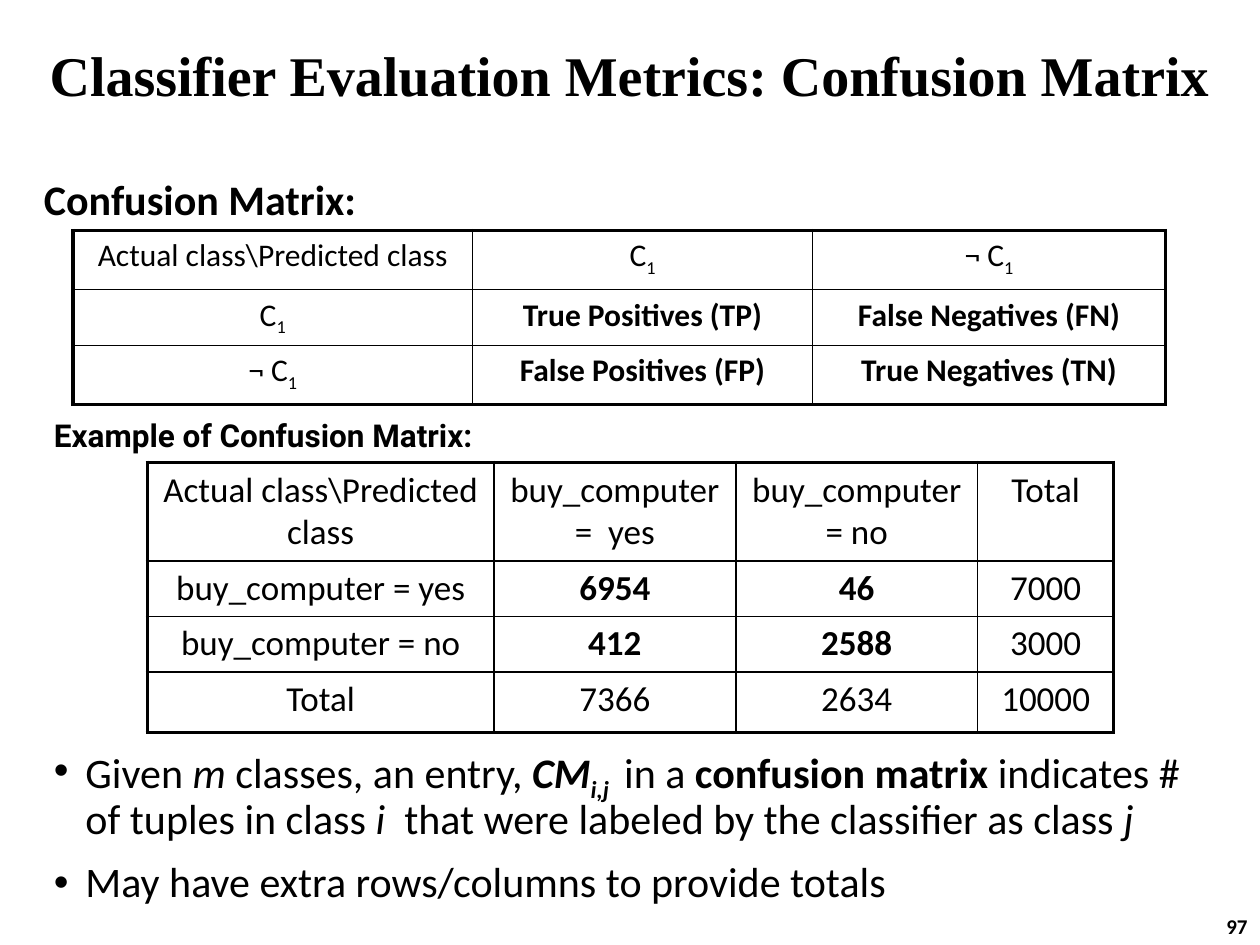
from lxml import etree
from pptx import Presentation
from pptx.dml.color import RGBColor
from pptx.enum.text import MSO_ANCHOR, PP_ALIGN
from pptx.oxml.ns import qn
from pptx.util import Inches, Pt

BLACK = RGBColor(0, 0, 0)
LEFT, CENTER, RIGHT = PP_ALIGN.LEFT, PP_ALIGN.CENTER, PP_ALIGN.RIGHT
TOP, MIDDLE, BOTTOM = MSO_ANCHOR.TOP, MSO_ANCHOR.MIDDLE, MSO_ANCHOR.BOTTOM
TITLE_ONLY = 5
INNER_LINE, OUTER_LINE = Pt(1), Pt(2.25)

# A text is a list of (words, style) runs; style letters: b bold, i italic, s subscript.
CLASS_1 = [("C", ""), ("1", "s")]
NOT_CLASS_1 = [("¬ C", ""), ("1", "s")]
CLASS_ROWS = [
    [[("Actual class\\Predicted class", "")], CLASS_1, NOT_CLASS_1],
    [CLASS_1, [("True Positives (TP)", "b")], [("False Negatives (FN)", "b")]],
    [NOT_CLASS_1, [("False Positives (FP)", "b")], [("True Negatives (TN)", "b")]],
]
EXAMPLE_ROWS = [
    [[("Actual class\\Predicted class", "")], [("buy_computer =  yes", "")],
     [("buy_computer = no", "")], [("Total", "")]],
    [[("buy_computer = yes", "")], [("6954", "b")], [("46", "b")], [("7000", "")]],
    [[("buy_computer = no", "")], [("412", "b")], [("2588", "b")], [("3000", "")]],
    [[("Total", "")], [("7366", "")], [("2634", "")], [("10000", "")]],
]
BULLETS = [
    [("Given", ""), (" m", "i"), (" classes, an entry, ", ""), ("CM", "bi"),
     ("i,j ", "bis"), (" in a ", ""), ("confusion matrix", "b"),
     (" indicates # of tuples in class ", ""), ("i", "i"),
     ("  that were labeled by the classifier as class ", ""), ("j", "i")],
    [("May have extra rows/columns to provide totals", "")],
]


def write_paragraph(paragraph, runs, size, font_name="Calibri", align=LEFT):
    paragraph.alignment = align
    paragraph.font.name = font_name
    paragraph.font.size = Pt(size)
    paragraph.font.color.rgb = BLACK
    for words, style in runs:
        run = paragraph.add_run()
        run.text = words
        run.font.bold = "b" in style
        run.font.italic = "i" in style
        if "s" in style:
            run.font._element.set("baseline", "-25000")


def add_text_box(slide, left, top, width, height, anchor=TOP, wrap=True):
    box = slide.shapes.add_textbox(Inches(left), Inches(top), Inches(width), Inches(height))
    frame = box.text_frame
    frame.word_wrap = wrap
    frame.vertical_anchor = anchor
    return frame


def add_title(slide, text):
    title = slide.shapes.title
    title.left, title.top = Inches(0), Inches(0)
    title.width, title.height = Inches(10), Inches(1.25)
    title.text_frame.vertical_anchor = MIDDLE
    paragraph = title.text_frame.paragraphs[0]
    paragraph.line_spacing = 0.9
    write_paragraph(paragraph, [(text, "b")], 32, "Times New Roman", CENTER)


def add_bullets(slide, left, top, width, height):
    frame = add_text_box(slide, left, top, width, height)
    for index, runs in enumerate(BULLETS):
        paragraph = frame.add_paragraph() if index else frame.paragraphs[0]
        paragraph.line_spacing = 0.9
        paragraph.space_before = Pt(10)
        properties = paragraph._p.get_or_add_pPr()
        properties.set("marL", str(Inches(0.25)))
        properties.set("indent", str(-Inches(0.25)))
        etree.SubElement(properties, qn("a:buFont"), typeface="Arial")
        etree.SubElement(properties, qn("a:buChar"), char="•")
        write_paragraph(paragraph, runs, 24)


def set_borders(cell, widths):
    """Draw the left, right, top and bottom borders, ahead of the cell's fill."""
    properties = cell._tc.get_or_add_tcPr()
    for index, (side, width) in enumerate(zip(("lnL", "lnR", "lnT", "lnB"), widths)):
        line = etree.Element(qn(f"a:{side}"), w=str(width))
        fill = etree.SubElement(line, qn("a:solidFill"))
        etree.SubElement(fill, qn("a:srgbClr"), val=str(BLACK))
        properties.insert(index, line)


def add_matrix(slide, left, top, column_widths, row_heights, rows, size):
    """Add a table with a thick frame and thin inner lines."""
    table = slide.shapes.add_table(
        len(row_heights), len(column_widths), Inches(left), Inches(top),
        Inches(sum(column_widths)), Inches(sum(row_heights))).table
    table.first_row = table.horz_banding = False
    for column, width in zip(table.columns, column_widths):
        column.width = Inches(width)
    for row, height in zip(table.rows, row_heights):
        row.height = Inches(height)
    last_row, last_column = len(row_heights) - 1, len(column_widths) - 1
    for row_index, row in enumerate(rows):
        for column_index, runs in enumerate(row):
            cell = table.cell(row_index, column_index)
            cell.fill.background()
            on_frame = (column_index == 0, column_index == last_column,
                        row_index == 0, row_index == last_row)
            set_borders(cell, [OUTER_LINE if edge else INNER_LINE for edge in on_frame])
            write_paragraph(cell.text_frame.paragraphs[0], runs, size, align=CENTER)


def main():
    presentation = Presentation()
    presentation.slide_width, presentation.slide_height = Inches(10), Inches(7.5)
    slide = presentation.slides.add_slide(presentation.slide_layouts[TITLE_ONLY])

    add_title(slide, "Classifier Evaluation Metrics: Confusion Matrix")
    add_matrix(slide, 1.17, 3.67, [2.75, 1.92, 1.92, 1.08], [0.77, 0.43, 0.43, 0.48],
               EXAMPLE_ROWS, 20)
    add_bullets(slide, 0.33, 5.88, 9.25, 1.38)

    heading = add_text_box(slide, 0.25, 1.33, 2.85, 0.5)
    write_paragraph(heading.paragraphs[0], [("Confusion Matrix:", "b")], 24)
    add_matrix(slide, 0.58, 1.83, [3.17, 2.7, 2.8], [0.47, 0.42, 0.47], CLASS_ROWS, 18)

    example_heading = add_text_box(slide, 0.33, 3.25, 3.9, 0.4, wrap=False)
    write_paragraph(example_heading.paragraphs[0],
                    [("Example of Confusion Matrix:", "b")], 18, "Roboto")

    page_number = add_text_box(slide, 7.92, 7.08, 2.08, 0.42, anchor=BOTTOM)
    write_paragraph(page_number.paragraphs[0], [("97", "b")], 12, align=RIGHT)

    presentation.save("out.pptx")


if __name__ == "__main__":
    main()
